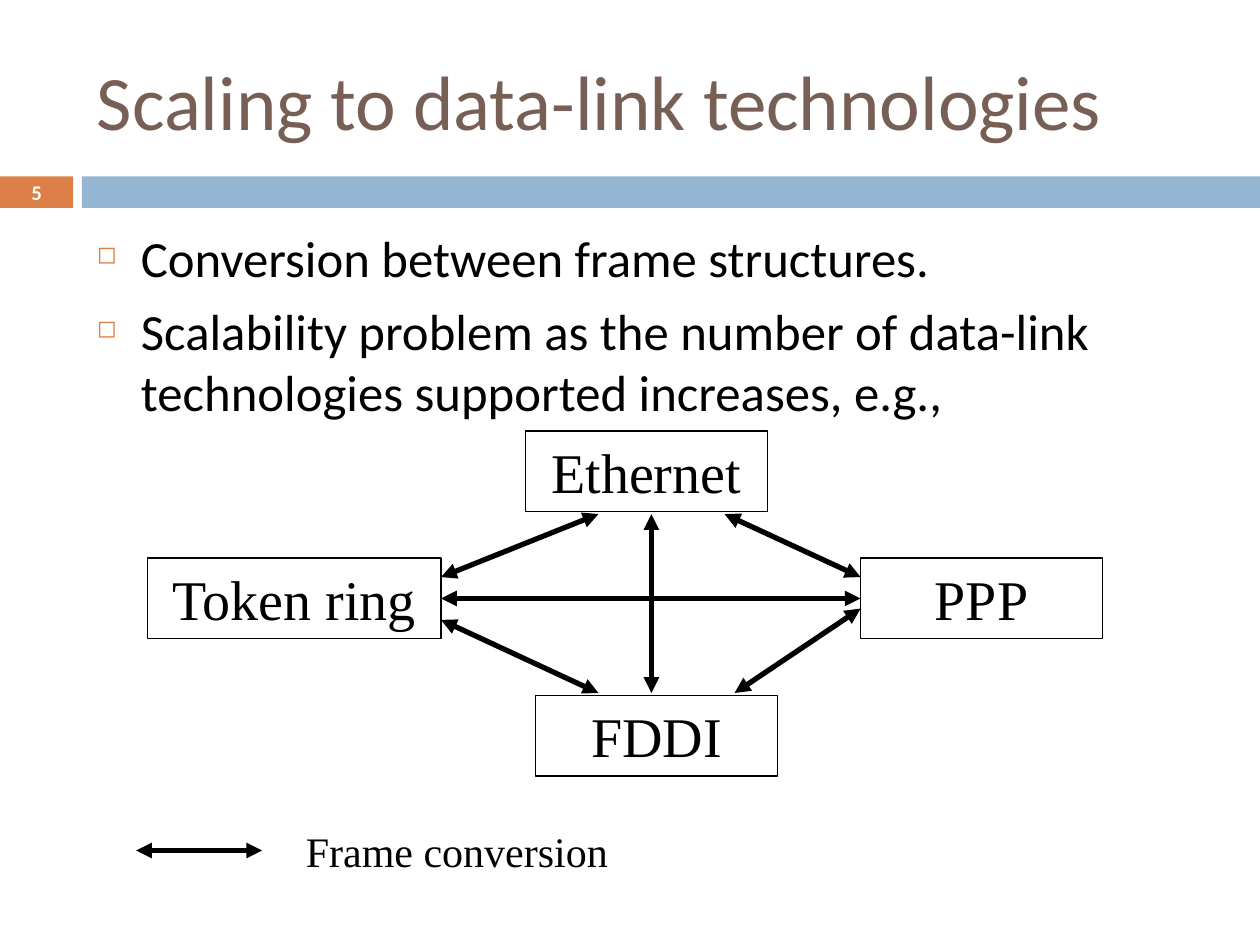
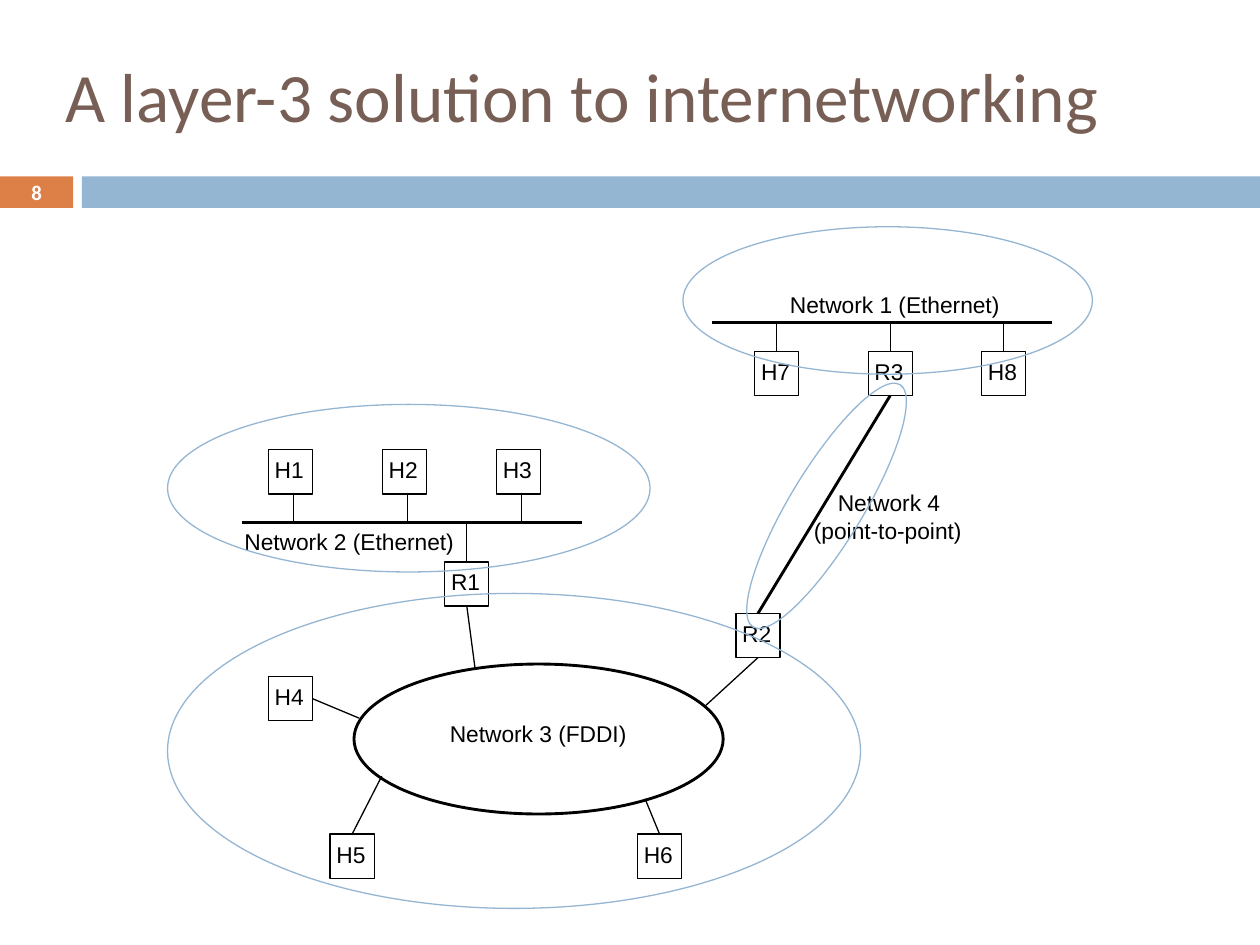
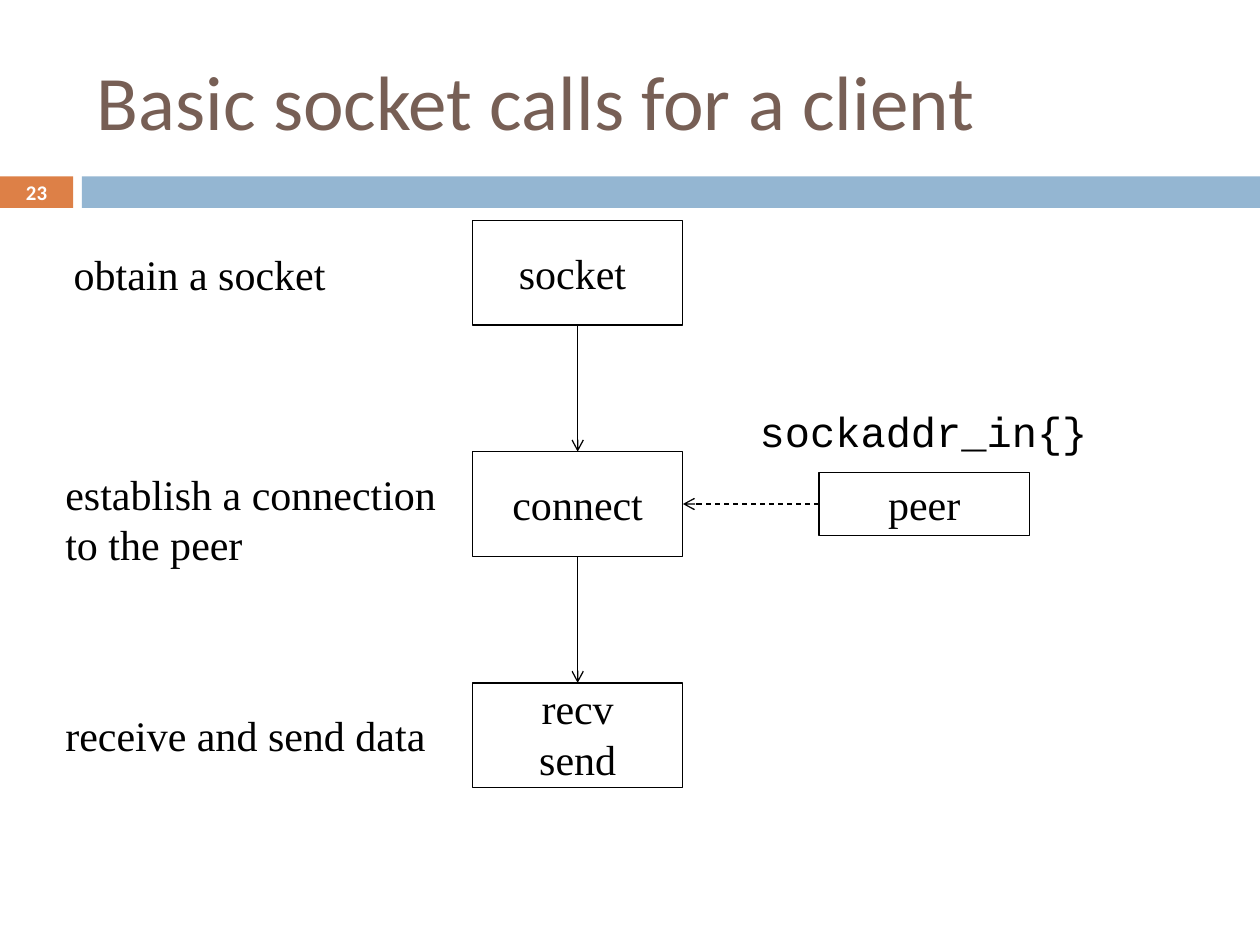
import pptx
import pptx.util
import pptx.dml.color
import pptx.enum.dml
import pptx.enum.shapes
import pptx.enum.text
import pptx.oxml
import pptx.oxml.ns

Inches = pptx.util.Inches
Pt = pptx.util.Pt
KIND = pptx.enum.shapes.MSO_SHAPE
ALIGN = pptx.enum.text.PP_ALIGN
ANCHOR = pptx.enum.text.MSO_ANCHOR

BLACK, WHITE = "000000", "FFFFFF"
BROWN, ORANGE, BLUE = "775F55", "DD8047", "94B6D2"
SANS, SERIF, PLAIN, MONO = "Calibri", "Times New Roman", "Arial", "Courier New"
PAD = (0.1, 0.05, 0.1, 0.05)
NONE = (0, 0, 0, 0)


def color(code):
    return pptx.dml.color.RGBColor.from_string(code)


def child(parent, tag, **attrs):
    node = pptx.oxml.ns.qn(tag)
    item = parent.makeelement(node, attrs)
    parent.append(item)
    return item


# Shared parts

def write(shape, text, size, font, ink=BLACK, align=ALIGN.LEFT,
          anchor=ANCHOR.TOP, pad=PAD, bold=False):
    frame = shape.text_frame
    frame.text = text
    frame.word_wrap = True
    frame.vertical_anchor = anchor
    (frame.margin_left, frame.margin_top,
     frame.margin_right, frame.margin_bottom) = map(Inches, pad)
    for para in frame.paragraphs:
        para.alignment = align
        for run in para.runs:
            run.font.size = Pt(size)
            run.font.name = font
            run.font.bold = bold
            run.font.color.rgb = color(ink)
    return shape


def label(slide, box, text, size, font, **style):
    shape = slide.shapes.add_textbox(*map(Inches, box))
    return write(shape, text, size, font, **style)


def block(slide, box, kind=KIND.RECTANGLE, fill=None, edge=None, width=0.75):
    shape = slide.shapes.add_shape(kind, *map(Inches, box))
    shape.shadow.inherit = False
    if fill:
        shape.fill.solid()
        shape.fill.fore_color.rgb = color(fill)
    else:
        shape.fill.background()
    if edge:
        shape.line.color.rgb = color(edge)
        shape.line.width = Pt(width)
    else:
        shape.line.fill.background()
    return shape


def line(slide, start, end, width=0.75, head=None, tail=None, dash=False):
    """Each end is a point (x, y) or a joint (shape, side)."""
    fixed = [isinstance(spot[0], (int, float)) for spot in (start, end)]
    a = start if fixed[0] else (0, 0)
    b = end if fixed[1] else (0, 0)
    link = slide.shapes.add_connector(
        pptx.enum.shapes.MSO_CONNECTOR.STRAIGHT, *map(Inches, (*a, *b)))
    if not fixed[0]:
        link.begin_connect(*start)
    if not fixed[1]:
        link.end_connect(*end)
    link.line.color.rgb = color(BLACK)
    link.line.width = Pt(width)
    if dash:
        link.line.dash_style = pptx.enum.dml.MSO_LINE.DASH
    stroke = link.line._get_or_add_ln()
    if head:
        child(stroke, "a:headEnd", type=head)
    if tail:
        child(stroke, "a:tailEnd", type=tail)
    child(link._element.spPr, "a:effectLst")
    return link


def start(deck, title, number, box=(0.67, 0.25, 8.92, 1.08), size=44):
    slide = deck.slides.add_slide(deck.slide_layouts[6])
    tab = block(slide, (0, 1.4, 0.58, 0.25), fill=ORANGE)
    write(tab, str(number), 11.9, SANS, WHITE, ALIGN.CENTER,
          ANCHOR.MIDDLE, NONE, bold=True)
    block(slide, (0.65, 1.4, 9.35, 0.25), fill=BLUE)
    label(slide, box, title, size, SANS, ink=BROWN, anchor=ANCHOR.MIDDLE)
    return slide


# Slide 1: frame conversion

def points(slide, box, items):
    shape = label(slide, box, "\n".join(items), 29, SANS)
    for i, para in enumerate(shape.text_frame.paragraphs):
        props = para._p.get_or_add_pPr()
        props.set("marL", str(Inches(0.35)))
        props.set("indent", str(Inches(-0.35)))
        child(child(props, "a:buClr"), "a:srgbClr", val=ORANGE)
        child(props, "a:buSzPct", val="48000")
        child(props, "a:buChar", char="◻")
        if i:
            para.space_before = Pt(7)


def mesh(slide, x, y):
    def tech(name, dx, dy, width=1.92):
        shape = block(slide, (x + dx, y + dy, width, 0.64), edge=BLACK)
        return write(shape, name, 32, SERIF, align=ALIGN.CENTER)

    tech("Ethernet", 3, 0)
    tech("FDDI", 3.08, 2.1)
    right = tech("PPP", 5.66, 1.01)
    left = tech("Token ring", 0, 1.01, 2.33)

    both = dict(width=3, head="triangle", tail="triangle")
    line(slide, (left, 3), (right, 1), **both)
    for ax, ay, bx, by in ((4, 0.66, 4, 2.08), (2.33, 1.16, 3.58, 0.66),
                           (2.33, 1.5, 3.58, 2.08), (4.58, 0.66, 5.66, 1.16),
                           (4.66, 2.08, 5.66, 1.41)):
        line(slide, (x + ax, y + ay), (x + bx, y + by), **both)

    # Key
    line(slide, (x - 0.09, y + 3.33), (x + 0.91, y + 3.33), **both)
    label(slide, (x + 1.16, y + 3.08, 3, 0.5), "Frame conversion", 24, SERIF)


def scaling(deck):
    slide = start(deck, "Scaling to data-link technologies", 5)
    points(slide, (0.67, 1.75, 8.92, 4.92), (
        "Conversion between frame structures.",
        "Scalability problem as the number of data-link technologies "
        "supported increases, e.g.,"))
    mesh(slide, 1.17, 3.42)


# Slide 2: four joined networks

def host(slide, name, x, y):
    shape = block(slide, (x, y, 0.35, 0.35), edge=BLACK)
    return write(shape, name, 13, PLAIN, pad=(0.05, 0.05, 0, 0))


def caption(slide, text, x, y, width):
    label(slide, (x, y, width, 0.22), text, 13, PLAIN, pad=NONE)


def cloud(slide, *box):
    return block(slide, box, KIND.OVAL, edge=BLUE)


def upper(slide, x, y):
    """Network 1: a bus with its hosts below; returns R3."""
    line(slide, (x, y), (x + 2.7, y), 1.63)
    hosts = []
    for i, name in enumerate(("H7", "R3", "H8")):
        left = x + 0.34 + 0.9 * i
        hosts.append(host(slide, name, left, y + 0.23))
        line(slide, (hosts[i], 0), (left + 0.175, y))
    caption(slide, "Network 1 (Ethernet)", x + 0.62, y - 0.25, 1.8)
    cloud(slide, x - 0.23, y - 0.76, 3.25, 1.17)
    return hosts[1]


def lower(slide, x, y):
    """Network 2: a bus with its hosts above; returns R1."""
    line(slide, (x, y), (x + 2.7, y), 1.63)
    for i, name in enumerate(("H1", "H2", "H3")):
        left = x + 0.21 + 0.905 * i
        host(slide, name, left, y - 0.58)
        line(slide, (left + 0.2, y - 0.24), (left + 0.2, y))
    router = host(slide, "R1", x + 1.61, y + 0.31)
    line(slide, (x + 1.785, y), (router, 0))
    caption(slide, "Network 2 (Ethernet)", x + 0.02, y + 0.04, 1.8)
    cloud(slide, x - 0.59, y - 0.94, 3.83, 1.33)
    return router


def ring(slide, x, y, router):
    """Network 3: a ring with hosts around it; returns R2."""
    block(slide, (x, y, 2.93, 1.19), KIND.OVAL, edge=BLACK, width=1.63)
    caption(slide, "Network 3 (FDDI)", x + 0.76, y + 0.44, 1.55)
    line(slide, (router, 2), (x + 0.96, y + 0.03))
    for name, dx, dy, side, rx, ry in (
            ("H4", -0.68, 0.1, 3, 0.04, 0.43), ("H5", -0.19, 1.35, 0, 0.22, 0.89),
            ("H6", 2.25, 1.35, 0, 2.31, 1.07), ("R2", 3.03, -0.4, 2, 2.79, 0.33)):
        node = host(slide, name, x + dx, y + dy)
        line(slide, (node, side), (x + rx, y + ry))
    cloud(slide, x - 1.48, y - 0.56, 5.5, 2.5)
    return node


def direct(slide, x, y, top, base):
    """Network 4: a link between two routers."""
    line(slide, (top, 2), (base, 0), 1.63)
    caption(slide, "Network 4", x + 0.38, y + 0.99, 1)
    caption(slide, "(point-to-point)", x + 0.19, y + 1.21, 1.35)
    cloud(slide, x, y, 0.58, 2.25).rotation = 31.2


def joined(deck):
    slide = start(deck, "A layer-3 solution to internetworking", 8,
                  (0.42, 0.42, 9.17, 0.67), 39.6)
    top = upper(slide, 5.65, 2.56)
    router = lower(slide, 1.92, 4.15)
    base = ring(slide, 2.81, 5.27, router)
    direct(slide, 6.27, 2.89, top, base)


# Slide 3: client calls

def flow(slide, x, y):
    step = 1.835
    calls = (("socket", ANCHOR.MIDDLE, (0.1, 0.05, 0.18, 0.05)),
             ("connect", ANCHOR.MIDDLE, PAD),
             ("recv\nsend", ANCHOR.TOP, (0.1, 0, 0.1, 0)))
    boxes = []
    for i, (name, anchor, pad) in enumerate(calls):
        shape = block(slide, (x, y + step * i, 1.67, 0.83), edge=BLACK)
        write(shape, name, 24, SERIF, align=ALIGN.CENTER,
              anchor=anchor, pad=pad)
        if boxes:
            line(slide, (boxes[-1], 2), (shape, 0), tail="arrow")
        boxes.append(shape)

    # Peer address
    peer = block(slide, (x + 2.75, y + 2, 1.67, 0.5), edge=BLACK)
    write(peer, "peer", 24, SERIF, align=ALIGN.CENTER, anchor=ANCHOR.MIDDLE)
    line(slide, (peer, 1), (boxes[1], 3), tail="arrow", dash=True)
    label(slide, (x + 2.08, y + 1.42, 3, 0.5), "sockaddr_in{}", 24, MONO,
          align=ALIGN.CENTER)


def notes(slide, x, y):
    label(slide, (x, y, 2.33, 0.5), "obtain a socket", 24, SERIF,
          align=ALIGN.CENTER)
    label(slide, (x, y + 1.75, 3.25, 0.9),
          "establish a connection to the peer", 24, SERIF)
    label(slide, (x, y + 3.66, 3.25, 0.5), "receive and send data", 24, SERIF)


def client(deck):
    slide = start(deck, "Basic socket calls for a client", 23)
    flow(slide, 3.75, 1.75)
    notes(slide, 0.42, 1.92)


def main():
    deck = pptx.Presentation()
    deck.slide_width = Inches(10)
    deck.slide_height = Inches(7.5)
    scaling(deck)
    joined(deck)
    client(deck)
    deck.save("out.pptx")


if __name__ == "__main__":
    main()
